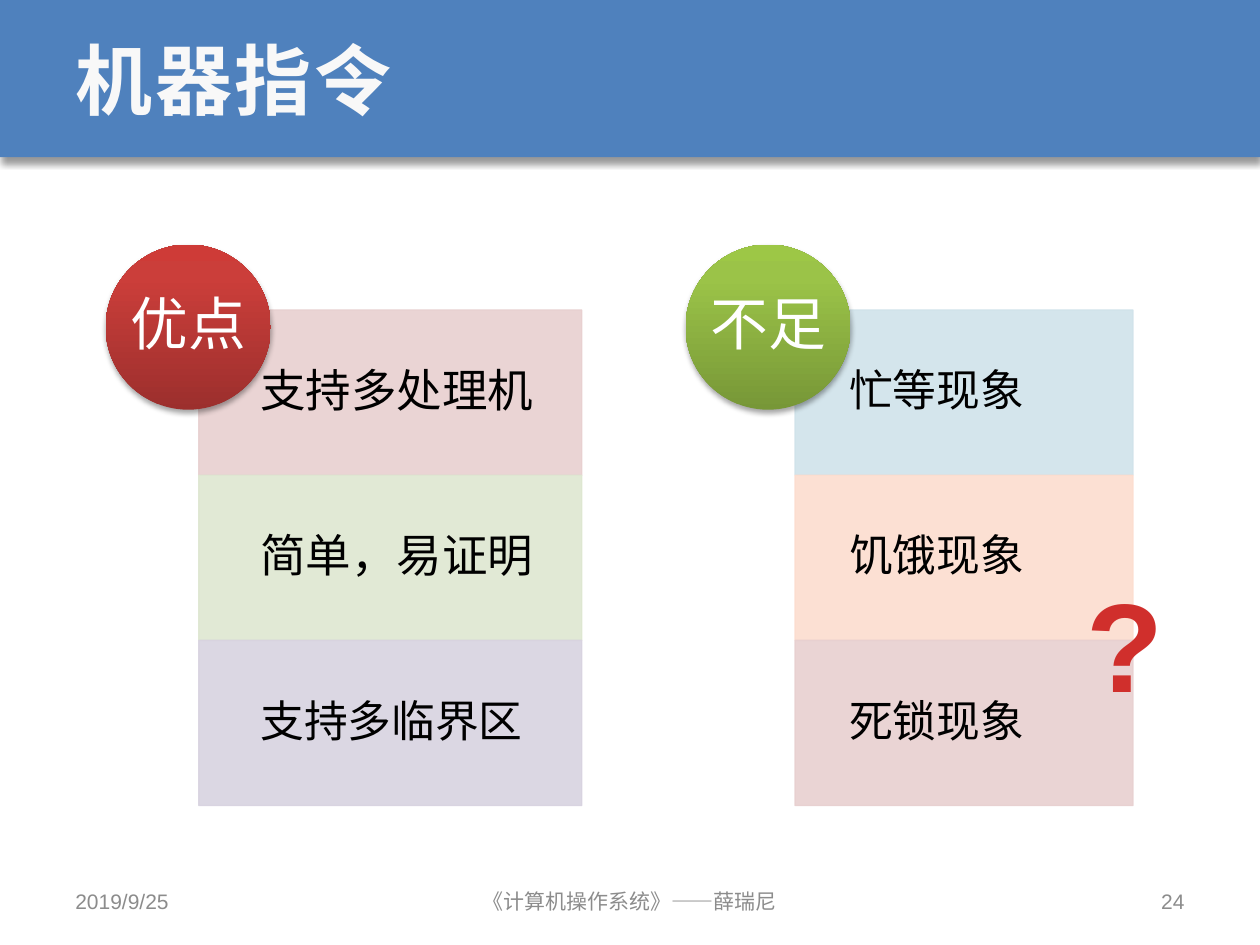
from copy import deepcopy

from lxml import etree
from pptx import Presentation
from pptx.dml.color import RGBColor
from pptx.enum.shapes import MSO_SHAPE
from pptx.enum.text import MSO_ANCHOR, MSO_AUTO_SIZE, PP_ALIGN
from pptx.oxml.ns import qn
from pptx.util import Cm, Pt

RECT, OVAL = MSO_SHAPE.RECTANGLE, MSO_SHAPE.OVAL
LEFT, CENTER, RIGHT = PP_ALIGN.LEFT, PP_ALIGN.CENTER, PP_ALIGN.RIGHT
MIDDLE, TOP = MSO_ANCHOR.MIDDLE, MSO_ANCHOR.TOP
SANS, MONO = "Arial", "DejaVu Sans Mono"

TITLE = "机器指令"
GROUPS = [
    {"heading": "优点", "badge_left": 2.13, "left": 4.01, "width": 7.72, "indent": 1.24,
     "stops": [(0, "9C2F2D"), (0.8, "CB3E3A"), (1, "CE3B37")],
     "points": [("支持多处理机", 26, "E8D0D0"), ("简单，易证明", 26, "DEE7D1"),
                ("支持多临界区", 25, "D8D3E0")]},
    {"heading": "不足", "badge_left": 13.82, "left": 16.03, "width": 6.81, "indent": 1.09,
     "stops": [(0, "779737"), (0.8, "9BC348"), (1, "9DC746")],
     "points": [("忙等现象", 25, "D0E3EA"), ("饥饿现象", 25, "FCDDCF"),
                ("死锁现象", 25, "E8D0D0")]},
]
FOOTERS = [
    ("2019/9/25", 1.27, 5.93, LEFT, SANS),
    ("《计算机操作系统》——薛瑞尼", 7.2, 11, CENTER, MONO),
    ("24", 18.2, 5.93, RIGHT, SANS),
]
SLIDE_WIDTH, SLIDE_HEIGHT, BAND_HEIGHT = 25.4, 19.05, 3.17
ROW_TOP, ROW_HEIGHT = 6.25, 3.33
BADGE_TOP = 4.93


def rgb(color):
    return RGBColor.from_string(color)


def write(shape, text, size, color, name=SANS, bold=False, align=LEFT, anchor=MIDDLE,
          wrap=True, spacing=1.0, margins=(0.25, 0.13, 0.25, 0.13)):
    left, top, right, bottom = map(Cm, margins)
    frame = shape.text_frame
    frame.text = text
    frame_format = {
        "auto_size": MSO_AUTO_SIZE.NONE, "word_wrap": wrap, "vertical_anchor": anchor,
        "margin_left": left, "margin_top": top, "margin_right": right, "margin_bottom": bottom,
    }
    for key, value in frame_format.items():
        setattr(frame, key, value)
    paragraph = frame.paragraphs[0]
    paragraph.alignment, paragraph.line_spacing = align, spacing
    font = paragraph.runs[0].font
    for key, value in {"size": Pt(size), "name": name, "bold": bold}.items():
        setattr(font, key, value)
    font.color.rgb = rgb(color)
    return paragraph.runs[0]


def add_shape(kind, left, top, width, height):
    shape = slide.shapes.add_shape(kind, Cm(left), Cm(top), Cm(width), Cm(height))
    shape.shadow.inherit = False
    return shape


def add_text(left, top, width, height, text, size, color, **options):
    box = slide.shapes.add_textbox(Cm(left), Cm(top), Cm(width), Cm(height))
    write(box, text, size, color, **options)


def set_alpha(color_element, percent):
    etree.SubElement(color_element, qn("a:alpha"), val=str(percent * 1000))


def add_shadow(shape, blur, distance, percent):
    effects = shape._element.spPr.find(qn("a:effectLst"))
    shadow = etree.SubElement(effects, qn("a:outerShdw"), blurRad=str(Pt(blur)),
                              dist=str(Pt(distance)), dir="5400000", rotWithShape="0")
    set_alpha(etree.SubElement(shadow, qn("a:srgbClr"), val="000000"), percent)


def add_row(group, index, text, size, color):
    row = add_shape(RECT, group["left"], ROW_TOP + index * ROW_HEIGHT,
                    group["width"], ROW_HEIGHT)
    row.fill.solid()
    row.fill.fore_color.rgb = row.line.color.rgb = rgb(color)
    row.line.width = Pt(0.75)
    for element in row._element.spPr.iter(qn("a:srgbClr")):
        set_alpha(element, 90)
    write(row, text, size, "000000", spacing=0.9, margins=(group["indent"], 0.5, 0.5, 0.5))


def add_badge(group):
    badge = add_shape(OVAL, group["badge_left"], BADGE_TOP, ROW_HEIGHT, ROW_HEIGHT)
    badge.line.fill.background()
    badge.fill.gradient()
    badge.fill.gradient_angle = 90
    stop_list = badge._element.spPr.find(".//" + qn("a:gsLst"))
    stop_list.append(deepcopy(stop_list[-1]))
    for stop, (position, color) in zip(badge.fill.gradient_stops, group["stops"]):
        stop.position = position
        stop.color.rgb = rgb(color)
    add_shadow(badge, 3.1, 1.8, 35)
    write(badge, group["heading"], 33, "FFFFFF", align=CENTER, wrap=False,
          spacing=0.9, margins=(0, 0, 0, 0))


prs = Presentation()
prs.slide_width, prs.slide_height = Cm(SLIDE_WIDTH), Cm(SLIDE_HEIGHT)
slide = prs.slides.add_slide(prs.slide_layouts[5])

band = add_shape(RECT, 0, 0, SLIDE_WIDTH, BAND_HEIGHT)
band.fill.solid()
band.fill.fore_color.rgb = rgb("4F81BD")
band.line.fill.background()
add_shadow(band, 4, 3, 40)

title = slide.shapes.title
band._element.addnext(title._element)
title.left, title.top, title.width, title.height = map(Cm, (1.27, 0, 22.86, BAND_HEIGHT))
title_run = write(title, TITLE, 44, "F8F8F8", name=MONO, bold=True)
title_run.font._element.set("spc", "150")

for text, left, width, align, name in FOOTERS:
    add_text(left, 17.65, width, 1.02, text, 12, "8C8C8C", align=align, name=name)

for group in GROUPS:
    for index, point in enumerate(group["points"]):
        add_row(group, index, *point)
    add_badge(group)

add_text(20.96, 11.3, 3.43, 3.33, "?", 72, "D02F2C", bold=True, align=CENTER, anchor=TOP)

prs.save("out.pptx")
